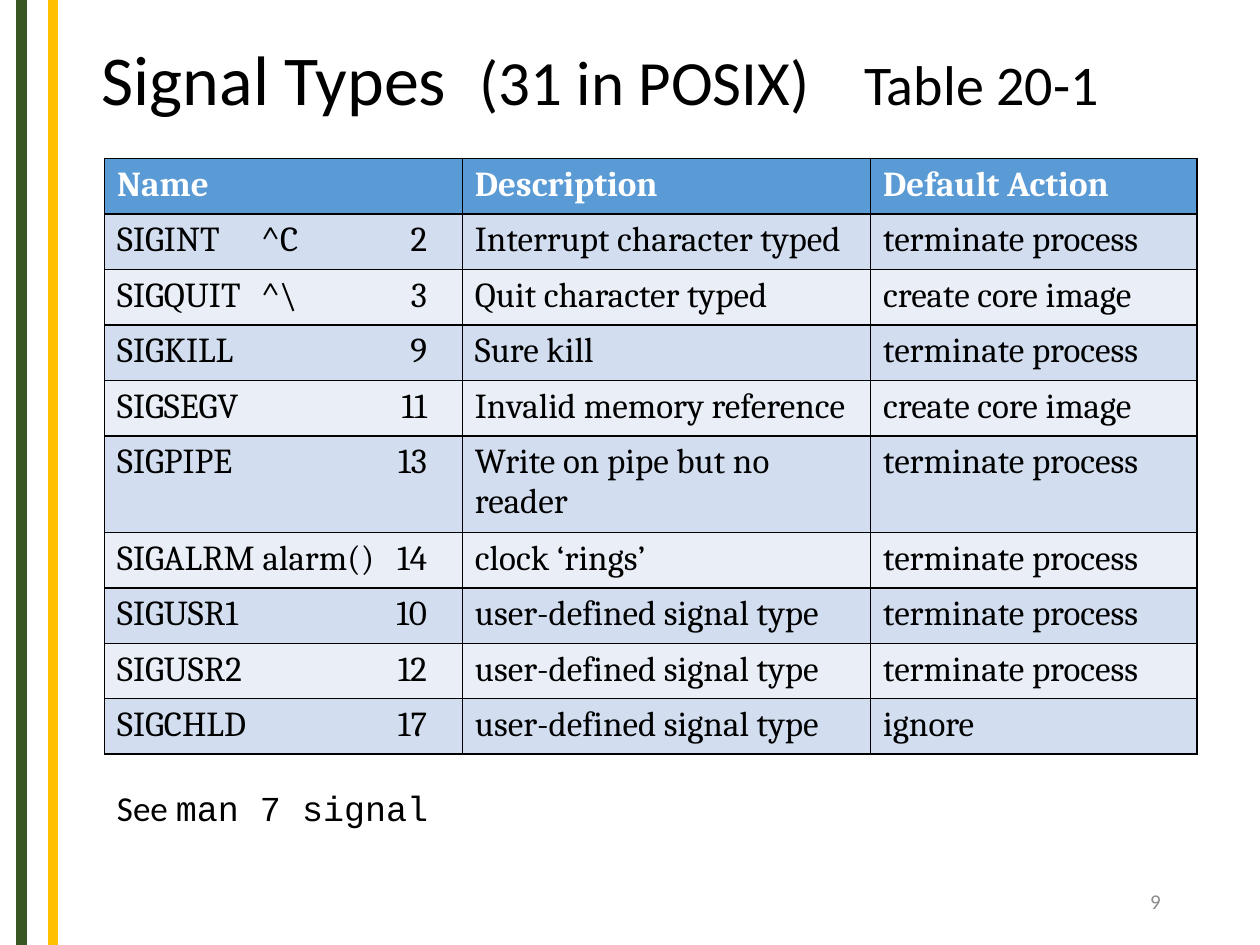
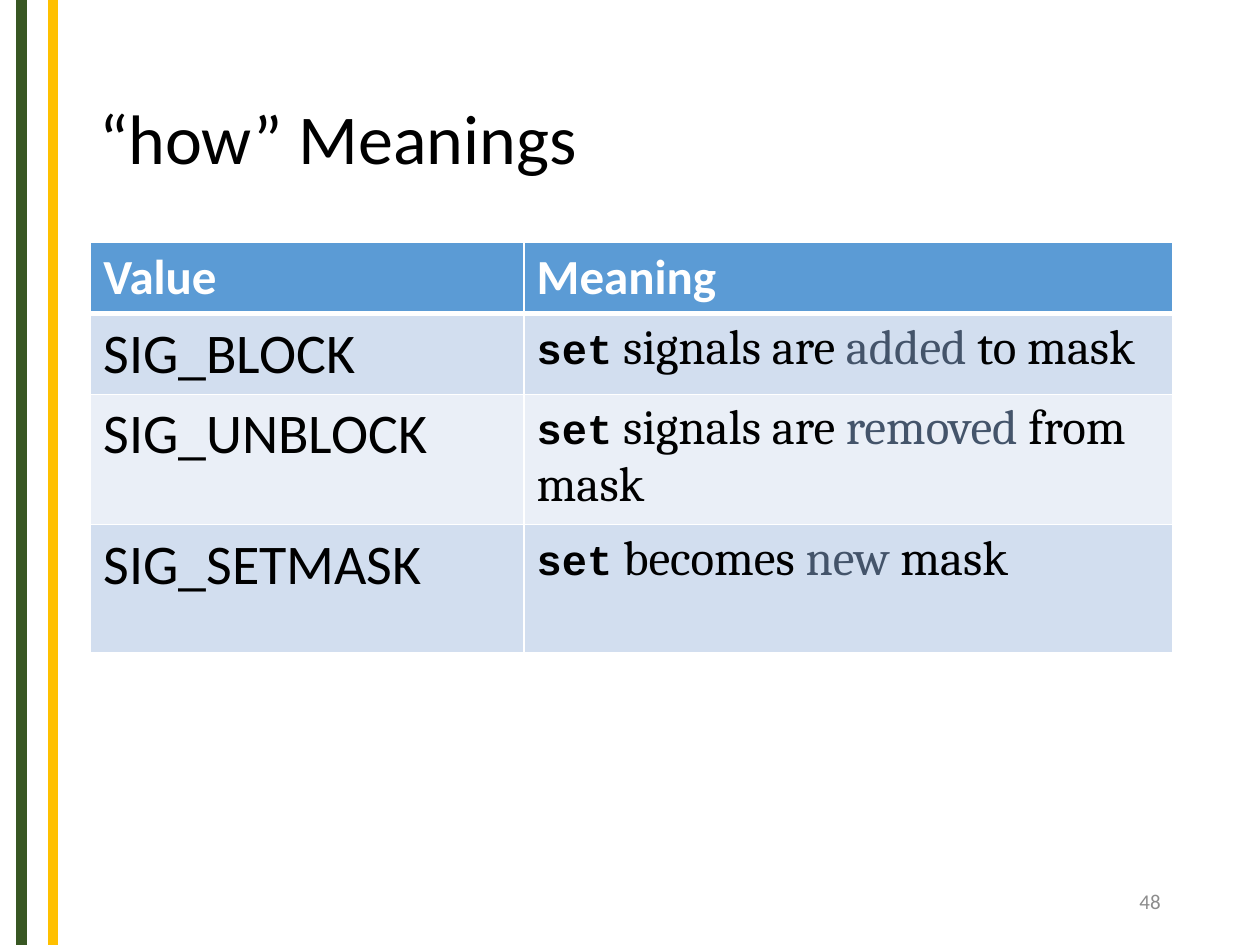
from lxml import etree
from pptx import Presentation
from pptx.dml.color import RGBColor
from pptx.enum import shapes, text
from pptx.oxml.ns import qn
from pptx.util import Inches, Pt

GREEN = RGBColor(0x38, 0x57, 0x23)
GOLD = RGBColor(0xFF, 0xC0, 0x00)
BLACK = RGBColor(0, 0, 0)
WHITE = RGBColor(0xFF, 0xFF, 0xFF)
GREY = RGBColor(0x8C, 0x8C, 0x8C)
SLATE = RGBColor(0x44, 0x54, 0x6A)
HEADER_BLUE = RGBColor(0x5B, 0x9B, 0xD5)
BANDS = (RGBColor(0xD2, 0xDE, 0xEF), RGBColor(0xEA, 0xEF, 0xF7))

SANS, SERIF, MONO = "Calibri", "Cambria", "Courier New"

SIGNALS = [
    ("SIGINT\t^C\t2", "Interrupt character typed", "terminate process"),
    ("SIGQUIT\t^\\\t3", "Quit character typed", "create core image"),
    ("SIGKILL\t9", "Sure kill", "terminate process"),
    ("SIGSEGV\t11", "Invalid memory reference", "create core image"),
    ("SIGPIPE\t13", "Write on pipe but no reader", "terminate process"),
    ("SIGALRM alarm()\t14", "clock ‘rings’", "terminate process"),
    ("SIGUSR1\t10", "user-defined signal type", "terminate process"),
    ("SIGUSR2\t12", "user-defined signal type", "terminate process"),
    ("SIGCHLD\t17", "user-defined signal type", "ignore"),
]
KEY_STOP, NUMBER_STOP = (1.14, "l"), (2.46, "r")

MASK_ACTIONS = [
    ("SIG_BLOCK", " signals are ", "added", " to mask"),
    ("SIG_UNBLOCK", " signals are ", "removed", " from mask"),
    ("SIG_SETMASK", " becomes ", "new", " mask"),
]


def write(paragraph, words, size, font=SANS, color=BLACK, bold=False):
    """Append one formatted run to a paragraph."""
    run = paragraph.add_run()
    run.text = words
    run.font.size = Pt(size)
    run.font.name = font
    run.font.color.rgb = color
    run.font.bold = bold


def set_tabs(paragraph, stops):
    """Give a paragraph tab stops as (inches, alignment) pairs."""
    tab_list = etree.SubElement(paragraph._p.get_or_add_pPr(), qn("a:tabLst"))
    for position, align in stops:
        etree.SubElement(tab_list, qn("a:tab"), pos=str(Inches(position)), algn=align)


def add_text(slide, box, anchor=text.MSO_ANCHOR.MIDDLE):
    """Add a wrapping text box and return its first paragraph."""
    frame = slide.shapes.add_textbox(*map(Inches, box)).text_frame
    frame.word_wrap = True
    frame.vertical_anchor = anchor
    return frame.paragraphs[0]


def add_title(slide, box, parts, stops=()):
    """Write the title from (words, size) parts."""
    title = add_text(slide, box)
    title.line_spacing = 0.9
    if stops:
        set_tabs(title, stops)
    for words, size in parts:
        write(title, words, size)


def add_frame(prs, number):
    """Start a slide with its side stripes and page number."""
    slide = prs.slides.add_slide(prs.slide_layouts[6])
    for x, color in ((0.17, GREEN), (0.42, GOLD)):
        stripe = slide.shapes.add_connector(
            shapes.MSO_CONNECTOR.STRAIGHT, Inches(x), 0, Inches(x), prs.slide_height)
        stripe.line.color.rgb = color
        stripe.line.width = Pt(6)
        etree.SubElement(stripe._element.spPr, qn("a:effectLst"))
    page = add_text(slide, (7.06, 6.95, 2.25, 0.4))
    page.alignment = text.PP_ALIGN.RIGHT
    write(page, str(number), 12, color=GREY)
    return slide


def set_borders(cell, color, bottom_width):
    """Outline a cell with a 1 pt line and a chosen bottom width."""
    props = cell._tc.get_or_add_tcPr()
    for side, width in (("L", 1), ("R", 1), ("T", 1), ("B", bottom_width)):
        line = etree.SubElement(props, qn(f"a:ln{side}"), w=str(Pt(width)))
        fill = etree.SubElement(line, qn("a:solidFill"))
        etree.SubElement(fill, qn("a:srgbClr"), val=str(color))


def add_grid(slide, corner, widths, heights, border, header_rule=1):
    """Add an empty table with a blue header and banded rows."""
    left, top = corner
    table = slide.shapes.add_table(
        len(heights), len(widths), Inches(left), Inches(top),
        Inches(sum(widths)), Inches(sum(heights))).table
    for column, width in zip(table.columns, widths):
        column.width = Inches(width)
    for index, (row, height) in enumerate(zip(table.rows, heights)):
        row.height = Inches(height)
        for cell in row.cells:
            set_borders(cell, border, 1 if index else header_rule)
            cell.fill.solid()
            cell.fill.fore_color.rgb = BANDS[(index - 1) % 2] if index else HEADER_BLUE
    return table


def write_header(table, labels, size, font):
    """Fill the header row in bold white."""
    for cell, label in zip(table.rows[0].cells, labels):
        write(cell.text_frame.paragraphs[0], label, size, font, WHITE, True)


def signal_types_slide(prs):
    """Build the slide that lists the signals."""
    slide = add_frame(prs, 9)
    add_title(slide, (0.71, 0.05, 9.03, 1.21),
              [("Signal Types\t", 40), ("(31 in POSIX)\t", 36), ("Table 20-1", 32)],
              [(3, "l"), (6.05, "l")])

    table = add_grid(slide, (0.83, 1.26), (2.84, 3.24, 2.59),
                     [0.44] * (len(SIGNALS) + 1), BLACK)
    write_header(table, ("Name", "Description", "Default Action"), 20, SERIF)
    for row, signal in enumerate(SIGNALS, 1):
        for column, words in enumerate(signal):
            paragraph = table.cell(row, column).text_frame.paragraphs[0]
            if column == 0:
                has_key = words.count("\t") == 2
                set_tabs(paragraph, [KEY_STOP, NUMBER_STOP] if has_key else [NUMBER_STOP])
            write(paragraph, words, 20, SERIF)

    manual = add_text(slide, (0.83, 6.23, 6.58, 0.92), text.MSO_ANCHOR.TOP)
    manual.line_spacing = 0.9
    manual.space_before = Pt(7.5)
    write(manual, "See ", 20)
    write(manual, "man 7 signal", 20, MONO)


def how_meanings_slide(prs):
    """Build the slide that explains the mask actions."""
    slide = add_frame(prs, 48)
    add_title(slide, (0.69, 0.4, 8.62, 1.45), [("“how” Meanings", 40)])

    table = add_grid(slide, (0.72, 1.92), (3.44, 5.15), (0.57, 0.64, 1, 1.02),
                     WHITE, header_rule=3)
    write_header(table, ("Value", "Meaning"), 28, SANS)
    for row, (value, verb, change, ending) in enumerate(MASK_ACTIONS, 1):
        write(table.cell(row, 0).text_frame.paragraphs[0], value, 32)
        meaning = table.cell(row, 1).text_frame.paragraphs[0]
        write(meaning, "set", 24, MONO, bold=True)
        for words, color in ((verb, BLACK), (change, SLATE), (ending, BLACK)):
            write(meaning, words, 28, SERIF, color)


def main():
    """Build and save the presentation."""
    prs = Presentation()
    prs.slide_width, prs.slide_height = Inches(10), Inches(7.5)
    signal_types_slide(prs)
    how_meanings_slide(prs)
    prs.save("out.pptx")


if __name__ == "__main__":
    main()
